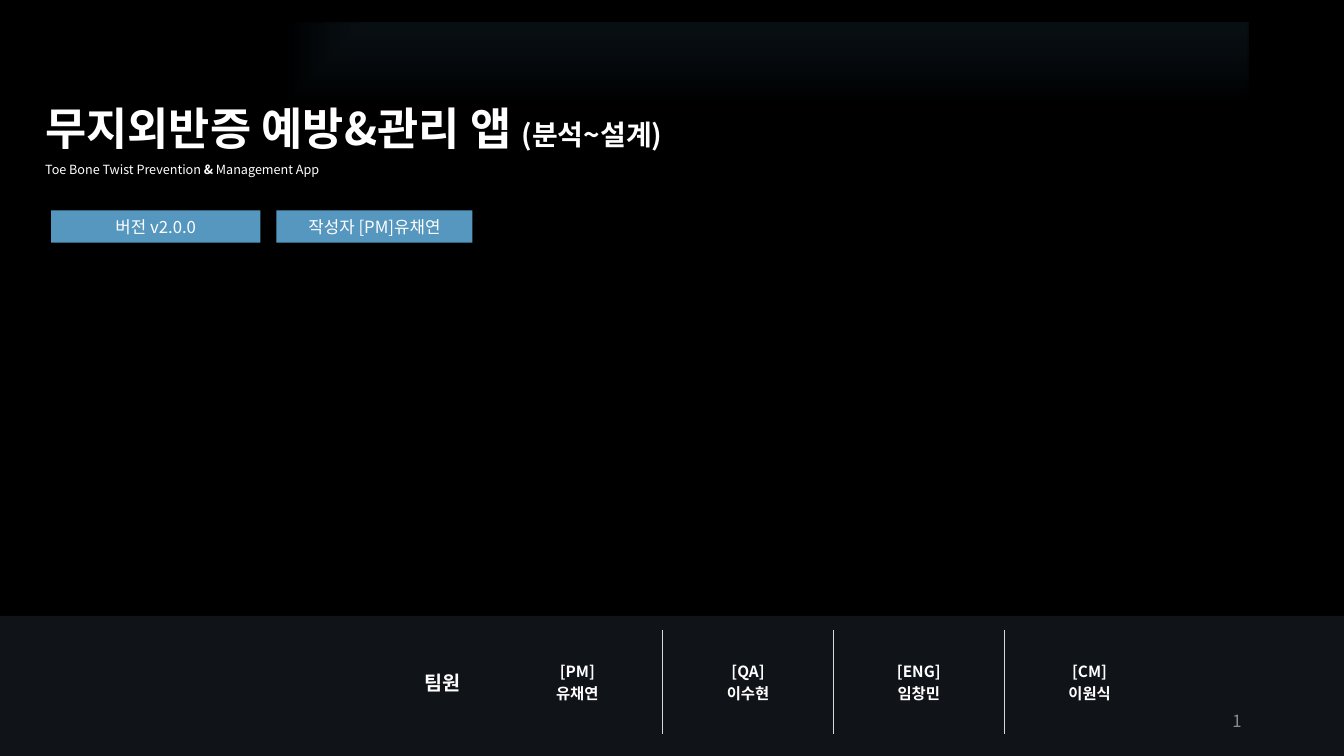
from pptx import Presentation
from pptx.dml.color import RGBColor
from pptx.enum.shapes import MSO_SHAPE
from pptx.enum.text import MSO_ANCHOR, PP_ALIGN
from pptx.oxml import parse_xml
from pptx.oxml.ns import nsdecls, qn
from pptx.util import Pt
from lxml.etree import SubElement

FONT = "Noto Sans CJK KR"
COLORS = {
    "background": "000000",
    "glow": "355F77",
    "badge": "5697BF",
    "band": "222A35",
    "rule": "D9D9D9",
    "text": "FFFFFF",
    "page": "8C8C8C",
}
MEMBERS = [("[PM]", "유채연"), ("[QA]", "이수현"), ("[ENG]", "임창민"), ("[CM]", "이원식")]


def rgb(name):
    return RGBColor.from_string(COLORS[name])


def add_run(p, text, size, bold=False, color="text"):
    r = p.add_run()
    r.text = text
    r.font.size = Pt(size)
    r.font.bold = bold
    r.font.color.rgb = rgb(color)
    r.font.name = FONT
    SubElement(r.font._element, qn("a:ea")).set("typeface", FONT)


def add_rect(slide, box, color):
    s = slide.shapes.add_shape(MSO_SHAPE.RECTANGLE, *map(Pt, box))
    s.shadow.inherit = False
    s.fill.solid()
    s.fill.fore_color.rgb = rgb(color)
    s.line.fill.background()
    return s


def add_text(slide, box, anchor=MSO_ANCHOR.TOP):
    tf = slide.shapes.add_textbox(*map(Pt, box)).text_frame
    tf.word_wrap = True
    tf.vertical_anchor = anchor
    return tf


def add_glow(slide, box):
    s = add_rect(slide, box, "glow")
    solid = s._element.spPr.find(qn("a:solidFill"))
    gradient = parse_xml(
        f'<a:gradFill {nsdecls("a")} rotWithShape="1"><a:gsLst>'
        f'<a:gs pos="0"><a:srgbClr val="{COLORS["glow"]}"><a:alpha val="0"/></a:srgbClr></a:gs>'
        f'<a:gs pos="100000"><a:srgbClr val="{COLORS["background"]}"/></a:gs></a:gsLst>'
        '<a:path path="rect"><a:fillToRect l="100000" b="100000"/></a:path></a:gradFill>'
    )
    solid.getparent().replace(solid, gradient)


def add_heading(slide, box):
    tf = add_text(slide, box)
    title = tf.paragraphs[0]
    subtitle = tf.add_paragraph()
    title.line_spacing = subtitle.line_spacing = 1.5
    add_run(title, "무지외반증 예방&관리 앱 ", 32, True)
    add_run(title, "(분석~설계)", 20, True)
    add_run(subtitle, "Toe Bone Twist Prevention", 9)
    add_run(subtitle, " & ", 9, True)
    add_run(subtitle, "Management App", 9)


def add_badge(slide, box, text):
    tf = add_rect(slide, box, "badge").text_frame
    tf.vertical_anchor = MSO_ANCHOR.MIDDLE
    p = tf.paragraphs[0]
    p.alignment = PP_ALIGN.CENTER
    add_run(p, text, 12)


def set_borders(cell, visible):
    tcPr = cell._tc.get_or_add_tcPr()
    for i, side in enumerate(("lnL", "lnR", "lnT", "lnB")):
        paint = "<a:noFill/>"
        if side in visible:
            paint = f'<a:solidFill><a:srgbClr val="{COLORS["rule"]}"/></a:solidFill>'
        tcPr.insert(i, parse_xml(f'<a:{side} {nsdecls("a")} w="6350">{paint}</a:{side}>'))


def add_member_table(slide, box):
    left, top, width, height = box
    count = len(MEMBERS)
    table = slide.shapes.add_table(1, count, *map(Pt, box)).table
    table.first_row = table.horz_banding = False
    for i, member in enumerate(MEMBERS):
        table.columns[i].width = Pt(width / count)
        cell = table.cell(0, i)
        cell.fill.background()
        cell.vertical_anchor = MSO_ANCHOR.MIDDLE
        set_borders(cell, ["lnL"] * (i > 0) + ["lnR"] * (i < count - 1))
        tf = cell.text_frame
        for j, text in enumerate(member):
            p = tf.add_paragraph() if j else tf.paragraphs[0]
            p.alignment = PP_ALIGN.CENTER
            add_run(p, text, 11, True)


def add_team_band(slide, box):
    left, top, width, height = box
    band = add_rect(slide, box, "band")
    color = band._element.spPr.find(qn("a:solidFill"))[0]
    SubElement(color, qn("a:alpha")).set("val", "47000")
    add_member_table(slide, (left + 351.4, top + 10, 488, 74))
    label = add_text(slide, (left + 296, top + 36, 75.6, 24.5))
    add_run(label.paragraphs[0], "팀원", 14, True)
    page = add_text(slide, (left + 678, top + 60.5, 216, 28.8), MSO_ANCHOR.MIDDLE)
    page.paragraphs[0].alignment = PP_ALIGN.RIGHT
    add_run(page.paragraphs[0], "1", 12, color="page")


def main():
    prs = Presentation()
    prs.slide_width, prs.slide_height = Pt(960), Pt(540)
    slide = prs.slides.add_slide(prs.slide_layouts[6])
    slide.background.fill.solid()
    slide.background.fill.fore_color.rgb = rgb("background")
    add_glow(slide, (-68.4, 16.2, 960, 540))
    add_heading(slide, (25.2, 49, 620, 80))
    add_badge(slide, (36.5, 150.3, 149.5, 23), "버전 v2.0.0")
    add_badge(slide, (197.5, 150.3, 140, 23), "작성자 [PM]유채연")
    add_team_band(slide, (0, 440, 960, 100))
    prs.save("out.pptx")


if __name__ == "__main__":
    main()
